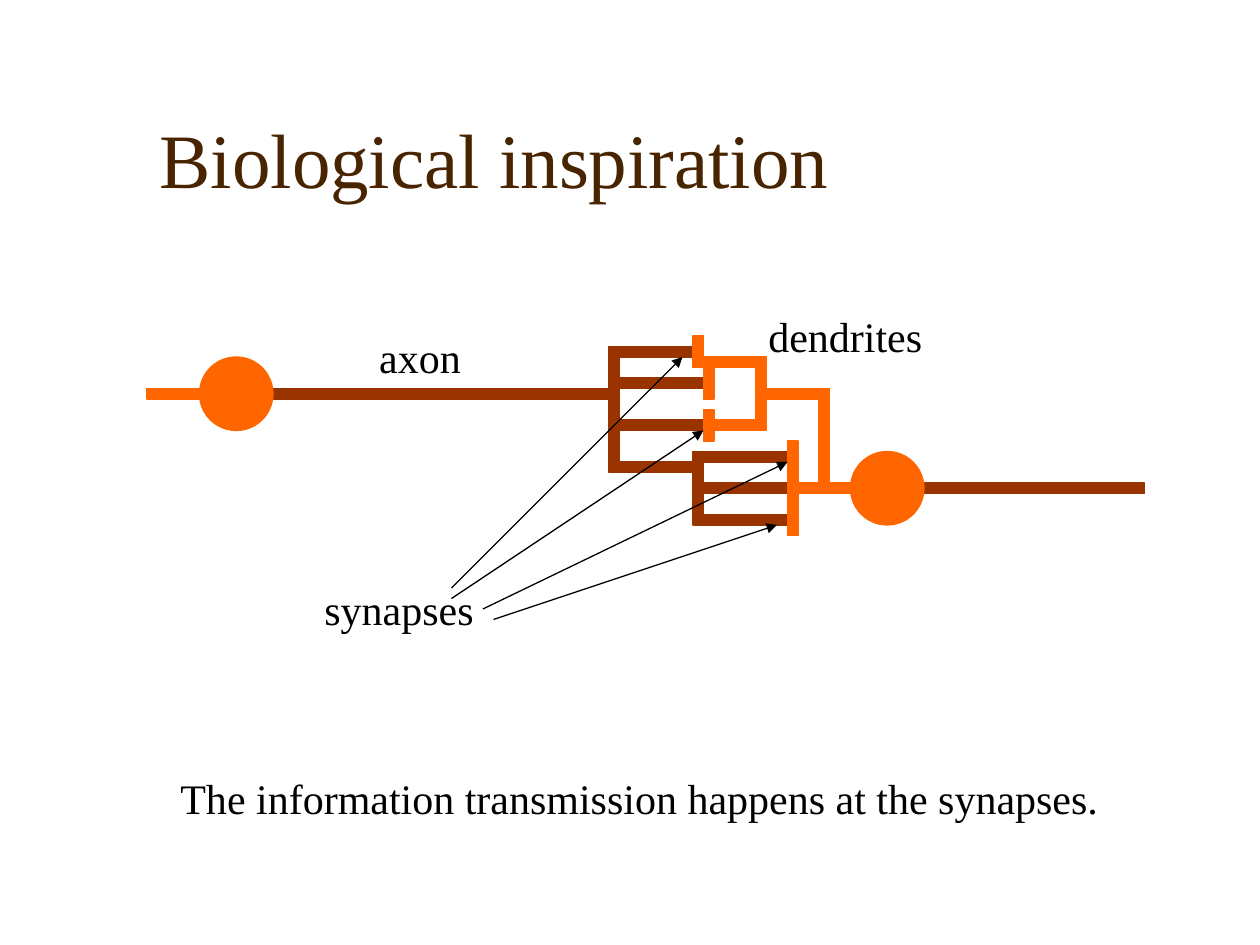
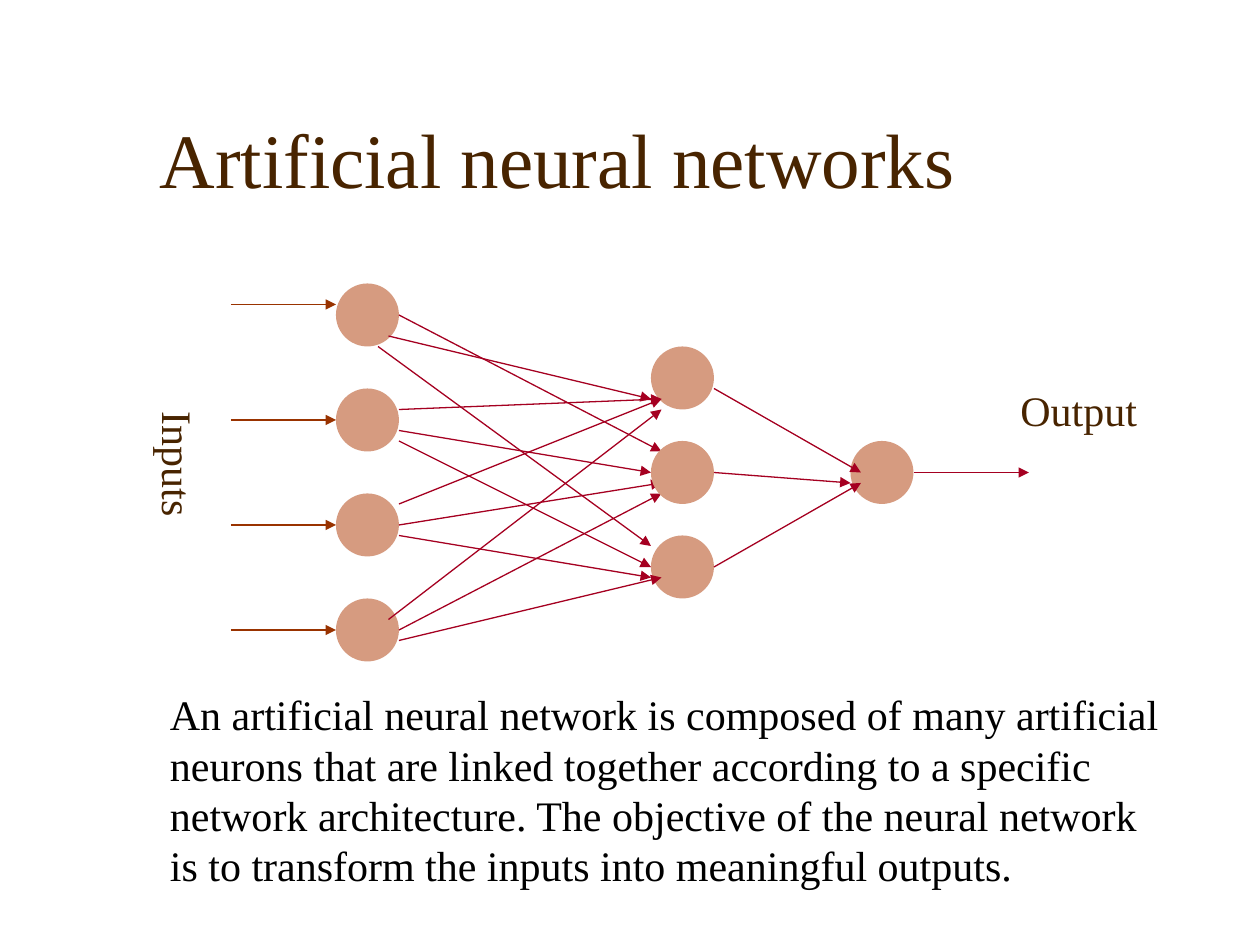
from typing import NamedTuple, Optional

from lxml import etree
from pptx import Presentation
from pptx import util as u
from pptx.dml.color import RGBColor
from pptx.enum import shapes, text
from pptx.oxml.ns import qn

# Shared style
FONT = "Times New Roman"
TITLE_BROWN = RGBColor(0x48, 0x24, 0x00)
BLACK = RGBColor(0x00, 0x00, 0x00)
AXON = RGBColor(0x99, 0x33, 0x00)
DENDRITE = RGBColor(0xFF, 0x66, 0x00)
NODE = RGBColor(0xD6, 0x9B, 0x80)
LINK = RGBColor(0xA5, 0x00, 0x21)
LINE_WIDTH = u.Pt(0.75)
RECT = shapes.MSO_SHAPE.RECTANGLE
OVAL = shapes.MSO_SHAPE.OVAL
LEFT = text.PP_ALIGN.LEFT
CENTER = text.PP_ALIGN.CENTER


class Box(NamedTuple):
    """Place and size in grid units."""
    x: float
    y: float
    w: float
    h: float


class Arrow(NamedTuple):
    """Start and end point in grid units."""
    x1: float
    y1: float
    x2: float
    y2: float


class Label(NamedTuple):
    words: str
    box: Box
    color: RGBColor = BLACK
    align: text.PP_ALIGN = LEFT
    vertical: bool = False


def grid(n: float) -> u.Length:
    """The drawing grid has twelve units to the inch."""
    return u.Cm(n * 2.54 / 12)


def place(box: Box) -> list[u.Length]:
    return [grid(n) for n in box]


def format_paragraph(p, size: int, color: RGBColor, align: text.PP_ALIGN) -> None:
    p.alignment = align
    p.font.name = FONT
    p.font.size = u.Pt(size)
    p.font.color.rgb = color


def add_titled_slide(prs, title: str):
    s = prs.slides.add_slide(prs.slide_layouts[5])
    sp = s.shapes.title
    sp.left, sp.top, sp.width, sp.height = place(Box(14, 5, 102, 15))
    tf = sp.text_frame
    tf.text = title
    tf.auto_size = text.MSO_AUTO_SIZE.NONE
    tf.vertical_anchor = text.MSO_ANCHOR.BOTTOM
    format_paragraph(tf.paragraphs[0], 44, TITLE_BROWN, LEFT)
    return s


def add_solid(s, kind: shapes.MSO_SHAPE, box: Box, fill: RGBColor,
              line: Optional[RGBColor] = None) -> None:
    sp = s.shapes.add_shape(kind, *place(box))
    sp.shadow.inherit = False
    sp.fill.solid()
    sp.fill.fore_color.rgb = fill
    if line is None:
        sp.line.fill.background()
    else:
        sp.line.color.rgb = line
        sp.line.width = LINE_WIDTH


def add_nodes(s, x: float, tops: list[int]) -> None:
    for y in tops:
        add_solid(s, OVAL, Box(x, y, 6, 6), NODE)


def add_arrows(s, arrows: list[Arrow], color: RGBColor) -> None:
    for arrow in arrows:
        sp = s.shapes.add_connector(shapes.MSO_CONNECTOR.STRAIGHT,
                                    *[grid(n) for n in arrow])
        sp.line.color.rgb = color
        sp.line.width = LINE_WIDTH
        ln = sp.line._get_or_add_ln()
        etree.SubElement(ln, qn("a:tailEnd"), type="triangle")
        etree.SubElement(sp._element.spPr, qn("a:effectLst"))


def add_label(s, label: Label) -> None:
    sp = s.shapes.add_textbox(*place(label.box))
    tf = sp.text_frame
    tf.text = label.words
    tf.word_wrap = True
    tf.auto_size = text.MSO_AUTO_SIZE.SHAPE_TO_FIT_TEXT
    if label.vertical:
        sp._element.txBody.bodyPr.set("vert", "eaVert")
    p = tf.paragraphs[0]
    format_paragraph(p, 24, label.color, label.align)
    # Space before, relative to the font size
    before = etree.Element(qn("a:spcBef"))
    etree.SubElement(before, qn("a:spcPct"), val="50000")
    p._p.get_or_add_pPr().insert(0, before)


def build_biology(prs) -> None:
    s = add_titled_slide(prs, "Biological inspiration")

    # Axons: trunks first, then their branches
    axons = [Box(26, 37, 32, 1), Box(58, 34, 1, 10), Box(66, 43, 1, 7),
             Box(88, 46, 21, 1)]
    branch_starts = [(58, 33), (59, 36), (59, 40), (58, 44),
                     (67, 43), (67, 46), (67, 49)]
    axons += [Box(x, y, 8, 1) for x, y in branch_starts]

    # Dendrites: receiving plates, horizontal runs and vertical joints
    plates = [(66, 32), (67, 35), (67, 39), (75, 42), (75, 45), (75, 48)]
    runs = [(14, 37), (67, 34), (68, 40), (73, 37), (76, 46)]
    dendrites = [Box(x, y, 1, 3) for x, y in plates]
    dendrites += [Box(x, y, 5, 1) for x, y in runs]
    dendrites += [Box(72, 34, 1, 6), Box(78, 37, 1, 10)]

    for boxes, color in ((axons, AXON), (dendrites, DENDRITE)):
        for box in boxes:
            add_solid(s, RECT, box, color, color)

    # Cell bodies
    for x, y in ((19, 34), (81, 43)):
        add_solid(s, OVAL, Box(x, y, 7, 7), DENDRITE, DENDRITE)

    # Pointers to the synapses
    add_arrows(s, [Arrow(43, 57, 67, 41), Arrow(46, 58, 75, 44),
                   Arrow(47, 59, 74, 50), Arrow(43, 56, 65, 34)], BLACK)

    for label in (
        Label("synapses", Box(27, 55, 22, 6), align=CENTER),
        Label("axon", Box(31, 31, 18, 6), align=CENTER),
        Label("dendrites", Box(71, 29, 19, 6), align=CENTER),
        Label("The information transmission happens at the synapses.",
              Box(16, 73, 97, 6)),
    ):
        add_label(s, label)


def build_network(prs) -> None:
    s = add_titled_slide(prs, "Artificial neural networks")

    # Input layer, with the links to the middle hidden node behind that node
    add_nodes(s, 32, [27 + 10 * i for i in range(4)])
    add_arrows(s, [Arrow(38, 30, 63, 43), Arrow(38, 41, 62, 45),
                   Arrow(38, 50, 63, 46), Arrow(38, 60, 63, 47)], LINK)

    # Hidden layer, with the links to its top and bottom nodes in front
    add_nodes(s, 62, [33 + 9 * i for i in range(3)])
    add_arrows(s, [Arrow(37, 32, 62, 38), Arrow(36, 33, 62, 52),
                   Arrow(38, 39, 63, 38), Arrow(38, 42, 62, 54),
                   Arrow(38, 48, 63, 38), Arrow(38, 51, 62, 55),
                   Arrow(37, 59, 63, 39), Arrow(38, 61, 63, 55)], LINK)

    # Output node
    add_nodes(s, 81, [42])
    add_arrows(s, [Arrow(68, 37, 82, 45), Arrow(68, 45, 81, 46),
                   Arrow(68, 54, 82, 46), Arrow(87, 45, 98, 45)], LINK)

    # Incoming signals
    add_arrows(s, [Arrow(22, y, 32, y) for y in (29, 40, 50, 60)], AXON)

    for label in (
        Label("Inputs", Box(12.84, 38, 7.2, 20), TITLE_BROWN, vertical=True),
        Label("Output", Box(96, 36, 16, 6), TITLE_BROWN),
        Label("An artificial neural network is composed of many artificial "
              "neurons that are linked together according to a specific "
              "network architecture. The objective of the neural network is "
              "to transform the inputs into meaningful outputs.",
              Box(15, 65, 98, 20.4)),
    ):
        add_label(s, label)


prs = Presentation()
prs.slide_width, prs.slide_height = u.Cm(25.4), u.Cm(19.05)
build_biology(prs)
build_network(prs)
prs.save("out.pptx")
